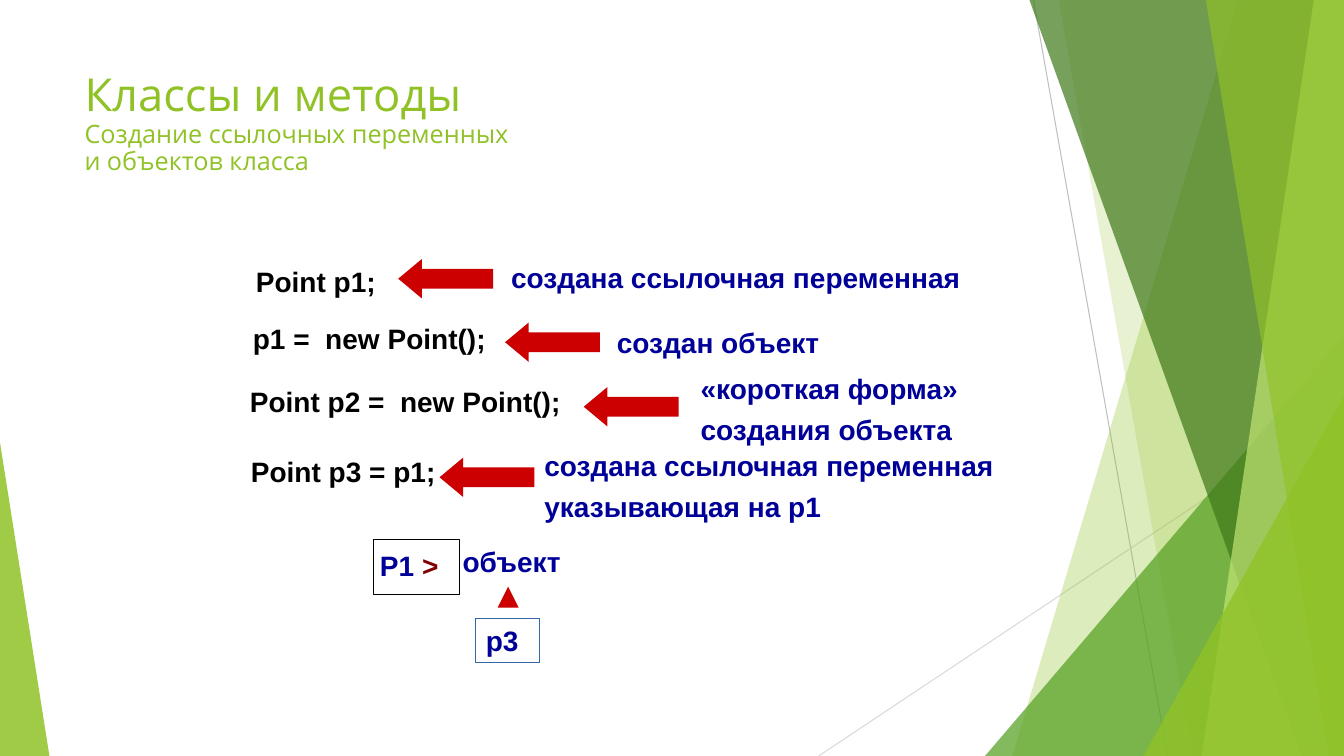
from dataclasses import dataclass
from lxml import etree
from pptx import Presentation
from pptx.dml.color import RGBColor
from pptx.enum.shapes import MSO_CONNECTOR, MSO_SHAPE
from pptx.oxml.ns import qn
from pptx.util import Inches, Pt

STRAIGHT = MSO_CONNECTOR.STRAIGHT
RECTANGLE = MSO_SHAPE.RECTANGLE
LEFT_ARROW = MSO_SHAPE.LEFT_ARROW
TRIANGLE = MSO_SHAPE.ISOSCELES_TRIANGLE


@dataclass(frozen=True)
class Theme:
    lime: str = "90C226"
    green: str = "54A021"
    forest: str = "3F7819"
    pale: str = "C0E474"
    red: str = "CC0000"
    maroon: str = "800000"
    navy: str = "000099"
    black: str = "000000"
    frame: str = "3465A4"
    silver: str = "BFBFBF"
    mist: str = "D9D9D9"
    heading_font: str = "Open Sans"
    body_font: str = "Arial"
    title_size: float = 32.4
    subtitle_size: float = 18
    body_size: float = 20


theme = Theme()
WIDTH, HEIGHT = 13.33, 7.5

prs = Presentation()
prs.slide_width, prs.slide_height = Inches(WIDTH), Inches(HEIGHT)
slide = prs.slides.add_slide(prs.slide_layouts[6])
shapes = slide.shapes


def paint(shape, color, opacity=100):
    shape.shadow.inherit = False
    shape.line.fill.background()
    shape.fill.solid()
    shape.fill.fore_color.rgb = RGBColor.from_string(color)
    if opacity < 100:
        tint = shape.fill._xPr.find(qn("a:solidFill"))[0]
        etree.SubElement(tint, qn("a:alpha"), val=str(opacity * 1000))


def write(frame, lines, color, sizes=None, font=theme.body_font, bold=True):
    frame.word_wrap = True
    frame.text = "\n".join(lines)
    for index, paragraph in enumerate(frame.paragraphs):
        paragraph.font.name = font
        paragraph.font.size = Pt(sizes[index] if sizes else theme.body_size)
        paragraph.font.bold = bold
        paragraph.font.color.rgb = RGBColor.from_string(color)
        if bold and index:
            paragraph.space_before = Pt(5)


connectors = [
    (10.25, 0, 11.58, HEIGHT, theme.silver, 0.75, False),
    (WIDTH, 4.03, 8.12, HEIGHT, theme.mist, 0.75, False),
    (5.04, 5.98, 5.04, 5.82, theme.red, 5, True),
]
for x1, y1, x2, y2, color, weight, has_head in connectors:
    connector = shapes.add_connector(STRAIGHT, *map(Inches, (x1, y1, x2, y2)))
    connector.line.color.rgb = RGBColor.from_string(color)
    connector.line.width = Pt(weight)
    if has_head:
        etree.SubElement(connector.line._get_or_add_ln(), qn("a:tailEnd"), type="triangle")
    etree.SubElement(connector._element.spPr, qn("a:effectLst"))

facets = [
    ("band", 12.28, 10.04, theme.lime, 30),
    ("band", 10.5, 11.83, theme.lime, 20),
    ("corner", 9.77, 3.33, theme.green, 72),
    ("band", 10.21, 12.91, theme.forest, 70),
    ("band", 13.03, 11.92, theme.pale, 70),
    ("band", 11.96, 13.18, theme.lime, 65),
    ("corner", 11.34, 3.93, theme.lime, 80),
]
for kind, first, second, color, opacity in facets:
    if kind == "band":
        outline = shapes.build_freeform(Inches(first), 0)
        corners = [(WIDTH, 0), (WIDTH, HEIGHT), (second, HEIGHT)]
        outline.add_line_segments([(Inches(x), Inches(y)) for x, y in corners])
        facet = outline.convert_to_shape()
    else:
        box = (first, second, WIDTH - first, HEIGHT - second)
        facet = shapes.add_shape(TRIANGLE, *map(Inches, box))
        facet.adjustments[0] = 1
    paint(facet, color, opacity)

left_facet = shapes.add_shape(TRIANGLE, 0, Inches(4.39), Inches(0.49), Inches(3.11))
left_facet.adjustments[0] = 0
paint(left_facet, theme.lime, 85)

title = shapes.add_textbox(*map(Inches, (0.74, 0.67, 9.4, 1.44))).text_frame
write(
    title,
    ["Классы и методы", "Создание ссылочных переменных", "и объектов класса"],
    theme.lime,
    [theme.title_size, theme.subtitle_size, theme.subtitle_size],
    theme.heading_font,
    False,
)
for paragraph in title.paragraphs:
    paragraph.line_spacing = 0.9

statements = [
    ("Point p1;", 2.44, 2.57, 1.54, 3.95, 2.57,
     ["создана ссылочная переменная"], 4.97, 2.54, 5.42),
    ("p1 =  new Point();", 2.41, 3.14, 3.27, 5.01, 3.2,
     ["создан объект"], 6.02, 3.18, 2.96),
    ("Point p2 =  new Point();", 2.38, 3.77, 4.04, 5.79, 3.84,
     ["«короткая форма»", "создания объекта"], 6.85, 3.64, 3.78),
    ("Point p3 = p1;", 2.39, 4.46, 2.24, 4.36, 4.54,
     ["создана ссылочная переменная", "указывающая на p1"], 5.3, 4.4, 4.68),
]
labels = []
for code, code_x, code_y, code_w, arrow_x, arrow_y, note, note_x, note_y, note_w in statements:
    labels.append(([code], code_x, code_y, code_w, theme.black))
    labels.append((note, note_x, note_y, note_w, theme.navy))
    arrow = shapes.add_shape(LEFT_ARROW, *map(Inches, (arrow_x, arrow_y, 0.94, 0.39)))
    arrow.adjustments[0], arrow.adjustments[1] = 0.5, 0.6
    paint(arrow, theme.red)

labels.append((["объект"], 4.49, 5.35, 1.73, theme.navy))
labels.append((["p3"], 4.72, 6.14, 0.63, theme.navy))
labels.append((["P1 "], 3.67, 5.39, 0.89, theme.navy))
for lines, x, y, width, color in labels:
    height = 0.02 + 0.41 * len(lines)
    label = shapes.add_textbox(*map(Inches, (x, y, width, height)))
    write(label.text_frame, lines, color)

pointer = label.text_frame.paragraphs[0].add_run()
pointer.text = ">"
pointer.font.color.rgb = RGBColor.from_string(theme.maroon)

for x, y, width, height, color in [
    (3.7, 5.35, 0.86, 0.55, theme.black),
    (4.72, 6.14, 0.63, 0.43, theme.frame),
]:
    border = shapes.add_shape(RECTANGLE, *map(Inches, (x, y, width, height)))
    border.shadow.inherit = False
    border.fill.background()
    border.line.color.rgb = RGBColor.from_string(color)
    border.line.width = Pt(0.75)

prs.save("out.pptx")
